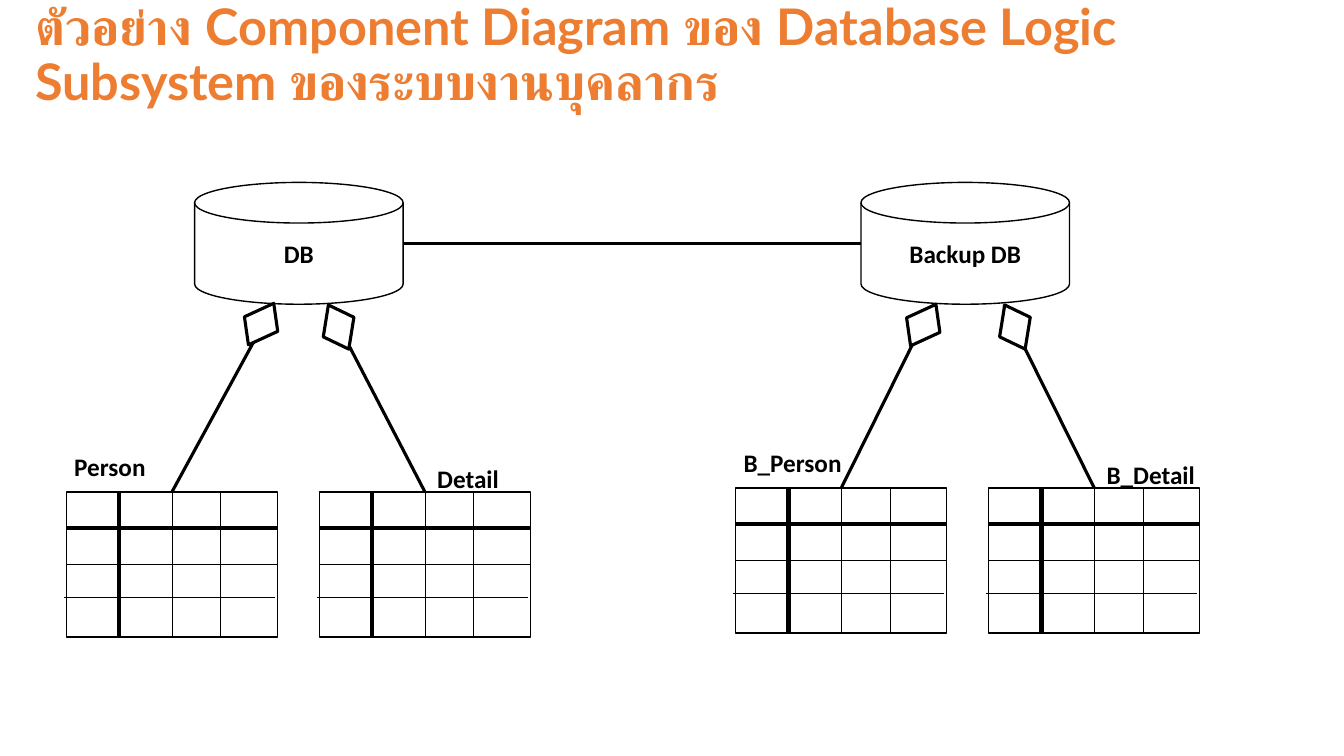
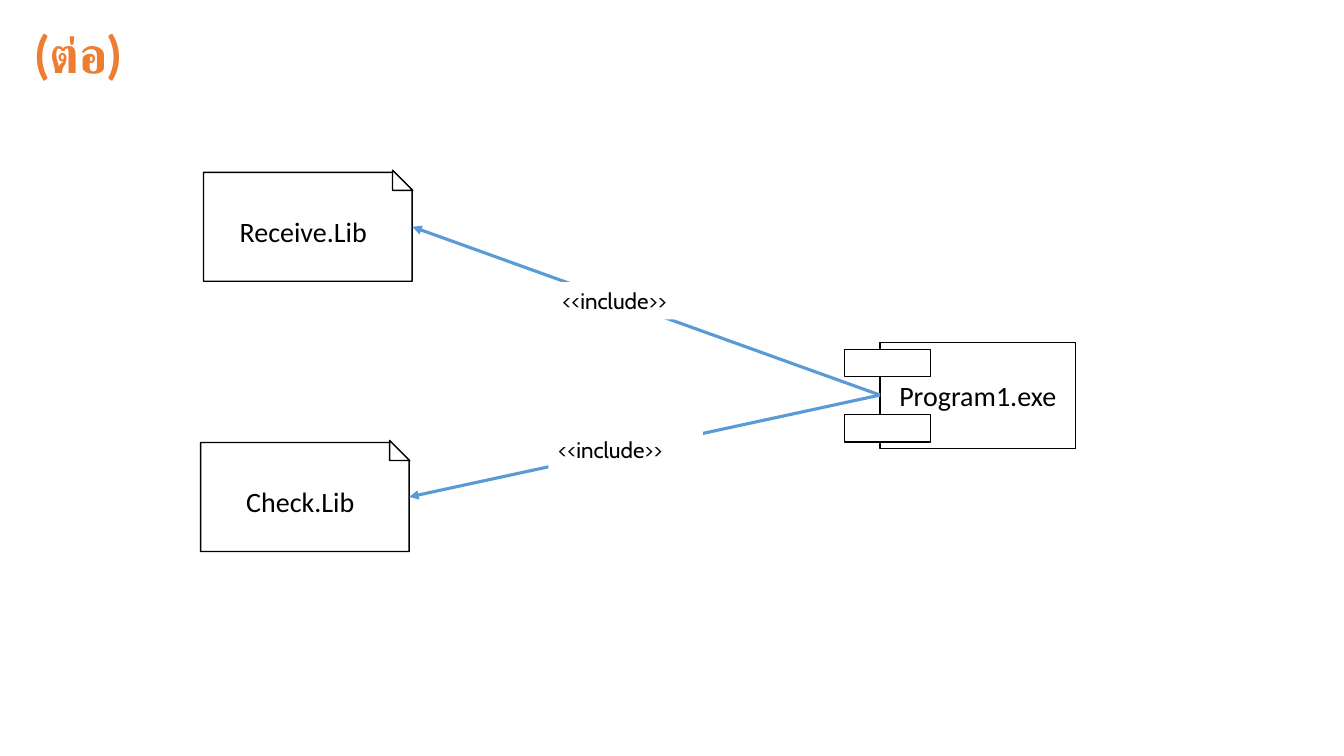
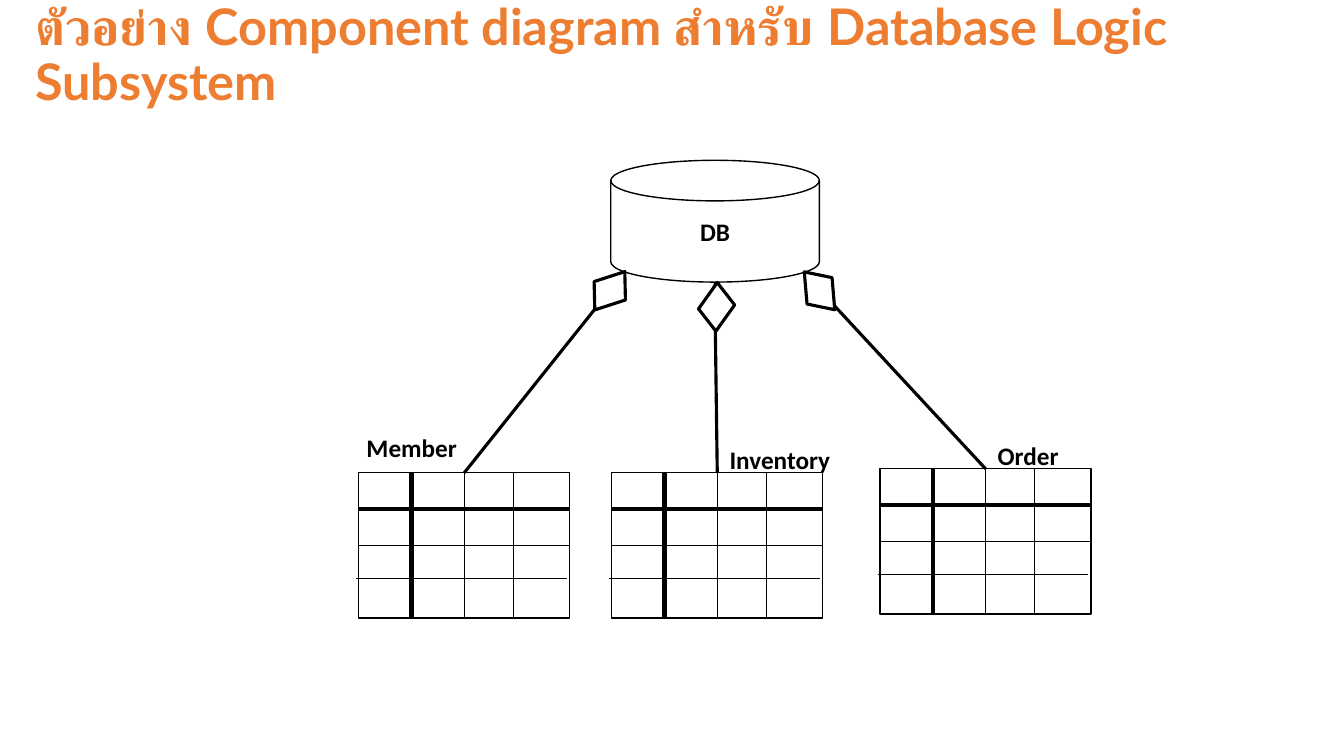
from lxml import etree
from pptx import Presentation
from pptx.dml.color import RGBColor
from pptx.enum.shapes import MSO_CONNECTOR, MSO_SHAPE
from pptx.enum.text import MSO_ANCHOR, MSO_AUTO_SIZE, PP_ALIGN
from pptx.oxml.ns import qn
from pptx.util import Pt

RECTANGLE = MSO_SHAPE.RECTANGLE
DISK = MSO_SHAPE.FLOWCHART_MAGNETIC_DISK
DIAMOND = MSO_SHAPE.FLOWCHART_DATA
NOTE = MSO_SHAPE.SNIP_1_RECTANGLE
FOLD = MSO_SHAPE.RIGHT_TRIANGLE
STRAIGHT = MSO_CONNECTOR.STRAIGHT
LEFT, CENTER = PP_ALIGN.LEFT, PP_ALIGN.CENTER
TOP, MIDDLE = MSO_ANCHOR.TOP, MSO_ANCHOR.MIDDLE

COLORS = {"title": "ED7D31", "ink": "000000", "paper": "FFFFFF", "arrow": "5B9BD5"}
TITLE_FONT, BODY_FONT, STEREOTYPE_FONT = "Lato", "Calibri", "Cabin"

DISK_SIZE = (149, 87)
TABLE_SIZE = (150.7, 103.7)
TABLE_COLUMNS = ((37.7, 3), (75.5, 0.5), (110.2, 0.5))
TABLE_ROWS = ((25.9, 3, 0), (51.8, 0.5, 0), (75.2, 0.5, -1.8))  # offset, weight, shift
LABEL_OFFSETS = {"left": (-1.6, -32.4), "right": (77, -24)}
DIAMOND_SIZE = (28.8, 19.4)


def color(name):
    return RGBColor.from_string(COLORS[name])


def write(shape, text, *, size=18, font=BODY_FONT, ink="ink", bold=False,
          align=CENTER, anchor=MIDDLE, wrap=True, spacing=None):
    frame = shape.text_frame
    frame.word_wrap = wrap
    frame.auto_size = MSO_AUTO_SIZE.NONE if wrap else MSO_AUTO_SIZE.SHAPE_TO_FIT_TEXT
    frame.vertical_anchor = anchor
    paragraph = frame.paragraphs[0]
    paragraph.alignment = align
    if spacing:
        paragraph.line_spacing = spacing
    run = paragraph.add_run()
    run.text = text
    run.font.name = font
    run.font.size = Pt(size)
    run.font.bold = bold
    run.font.color.rgb = color(ink)


class Deck:
    def __init__(self):
        self.presentation = Presentation()
        self.presentation.slide_width = Pt(960)
        self.presentation.slide_height = Pt(540)
        self.slide = None

    def add_slide(self, title):
        layout = self.presentation.slide_layouts.get_by_name("Title Only")
        self.slide = self.presentation.slides.add_slide(layout)
        placeholder = self.slide.shapes.title
        placeholder.left, placeholder.top = Pt(18), Pt(11.5)
        placeholder.width, placeholder.height = Pt(923), Pt(58.3)
        write(placeholder, title, size=36, font=TITLE_FONT, ink="title",
              bold=True, align=LEFT, spacing=0.9)

    def group(self):
        return self.slide.shapes.add_group_shape().shapes

    def shape(self, kind, left, top, size, *, parent=None, fill="paper",
              line="ink", weight=1, rotation=0):
        shapes = self.slide.shapes if parent is None else parent
        shape = shapes.add_shape(kind, Pt(left), Pt(top), *map(Pt, size))
        shape.shadow.inherit = False
        shape.rotation = rotation
        if fill:
            shape.fill.solid()
            shape.fill.fore_color.rgb = color(fill)
        else:
            shape.fill.background()
        if line:
            shape.line.color.rgb = color(line)
            shape.line.width = Pt(weight)
        else:
            shape.line.fill.background()
        return shape

    def line(self, start, end, *, parent=None, ink="ink", weight=2.25, arrow=False):
        shapes = self.slide.shapes if parent is None else parent
        connector = shapes.add_connector(STRAIGHT, *map(Pt, (*start, *end)))
        connector.line.color.rgb = color(ink)
        connector.line.width = Pt(weight)
        properties = connector.element.spPr
        if arrow:
            outline = properties.find(qn("a:ln"))
            etree.SubElement(outline, qn("a:tailEnd"), type="triangle")
        etree.SubElement(properties, qn("a:effectLst"))

    def database(self, name, left, top):
        write(self.shape(DISK, left, top, DISK_SIZE), name, bold=True)

    def table_symbol(self, left, top):
        width, height = TABLE_SIZE
        group = self.group()
        self.shape(RECTANGLE, left, top, TABLE_SIZE, parent=group)
        for offset, weight in TABLE_COLUMNS:
            x = left + offset
            self.line((x, top), (x, top + height), parent=group, weight=weight)
        for offset, weight, shift in TABLE_ROWS:
            x, y = left + shift, top + offset
            self.line((x, y), (x + width, y), parent=group, weight=weight)

    def label(self, text, left, top, width):
        box = self.slide.shapes.add_textbox(Pt(left), Pt(top), Pt(width), Pt(29))
        write(box, text, bold=True, align=LEFT, anchor=TOP, wrap=False)

    def aggregation(self, name, side, label_width, table, target, diamond):
        """Draw a labelled table joined to a database by a diamond (left, top, rotation)."""
        left, top = table
        shift_x, shift_y = LABEL_OFFSETS[side]
        self.table_symbol(left, top)
        self.label(name, left + shift_x, top + shift_y, label_width)
        self.line((left + TABLE_SIZE[0] / 2, top), target, arrow=True)
        x, y, rotation = diamond
        self.shape(DIAMOND, x, y, DIAMOND_SIZE, weight=2.25, rotation=rotation)

    def library(self, name, left, top):
        group = self.group()
        write(self.shape(NOTE, left, top, (149, 77.8), parent=group), name, size=20)
        self.shape(FOLD, left + 135, top - 1.5, (14.4, 14.4), parent=group)

    def component(self, name, left, top):
        group = self.group()
        body = self.shape(RECTANGLE, left, top, (139.7, 75.6), parent=group, fill=None)
        write(body, name, size=20)
        for offset in (5, 51.5):
            self.shape(RECTANGLE, left - 25.2, top + offset, (61.2, 19.4), parent=group)

    def include(self, start, end, label_left, label_top):
        self.line(start, end, ink="arrow", arrow=True)
        box = self.shape(RECTANGLE, label_left, label_top, (110.5, 26.6), line=None)
        write(box, "<<include>>", size=16, font=STEREOTYPE_FONT, align=LEFT, anchor=TOP)


def main():
    deck = Deck()

    deck.add_slide("ตัวอย่าง Component Diagram ของ Database Logic Subsystem ของระบบงานบุคลากร")
    deck.database("DB", 139, 130.3)
    deck.database("Backup DB", 615, 130.3)
    deck.line((288, 174), (615, 174))
    for aggregation in (
        ("Person", "left", 66, (47.5, 351.4), (195.8, 217.4), (172.1, 221.8, 335.3)),
        ("Detail", "right", 59, (228.2, 351.4), (234, 217.4), (227.5, 223.9, 279.1)),
        ("B_Person", "left", 85, (525.6, 348.5), (666, 217.4), (645.1, 222.5, 335.3)),
        ("B_Detail", "right", 78.5, (706.3, 348.5), (716.4, 217.4), (710.6, 223.9, 279.1)),
    ):
        deck.aggregation(*aggregation)

    deck.add_slide("(ต่อ)")
    deck.component("Program1.exe", 628.6, 244.8)
    deck.library("Receive.Lib", 145.4, 123.1)
    deck.library("Check.Lib", 143.3, 316.1)
    port = (628.6, 282.2)
    deck.include(port, (294.5, 162), 394.6, 201.6)
    deck.include(port, (292.3, 355), 391.7, 308.2)

    deck.add_slide("ตัวอย่าง Component diagram สำหรับ Database Logic Subsystem")
    deck.database("DB", 436.3, 114.5)
    for aggregation in (
        ("Member", "left", 79, (256.3, 337.7), (447.1, 193), (421.2, 198, 342.1)),
        ("Inventory", "right", 87, (437, 337.7), (510.5, 201.6), (497.5, 209.5, 305.5)),
        ("Order", "right", 58, (628.6, 334.8), (573.8, 194.4), (571, 198, 265.1)),
    ):
        deck.aggregation(*aggregation)

    deck.presentation.save("out.pptx")


if __name__ == "__main__":
    main()
